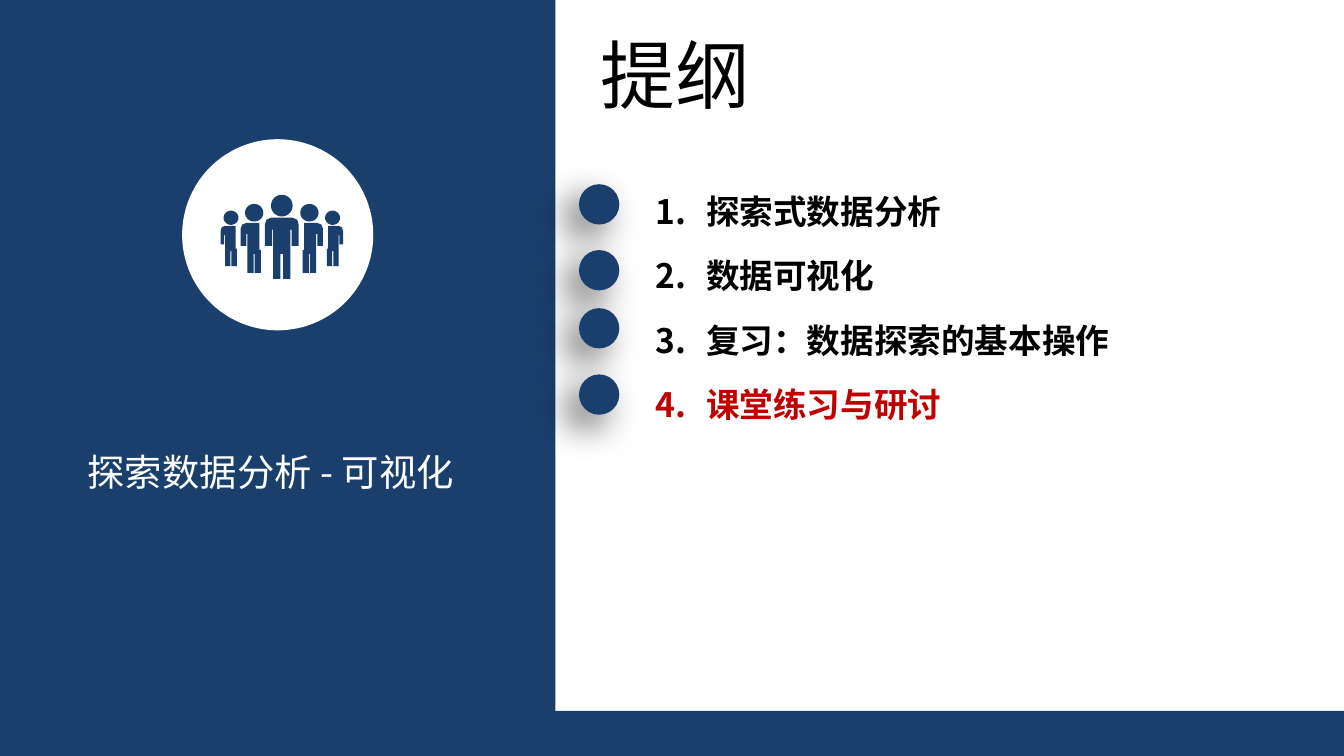
from math import cos, pi, sin

from lxml import etree
from pptx import Presentation
from pptx.dml.color import RGBColor
from pptx.enum.shapes import MSO_SHAPE
from pptx.enum.text import MSO_AUTO_SIZE, PP_ALIGN
from pptx.oxml.ns import qn
from pptx.util import Pt

RECT, OVAL = MSO_SHAPE.RECTANGLE, MSO_SHAPE.OVAL
LEFT, CENTER = PP_ALIGN.LEFT, PP_ALIGN.CENTER
GROW = MSO_AUTO_SIZE.SHAPE_TO_FIT_TEXT
NAVY, WHITE, BLACK, RED = "1A3F6C", "FFFFFF", "000000", "C00000"
FONT = "Noto Sans CJK SC"


def color(code):
    return RGBColor.from_string(code)


def node(parent, tag, **attrs):
    return etree.SubElement(parent, qn(tag), attrs)


def ring(x, y, rx, ry, count=32):
    """Points of an ellipse around (x, y)."""
    turns = [2 * pi * i / count for i in range(count)]
    return [(x + rx * cos(t), y + ry * sin(t)) for t in turns]


def flip(points):
    """Mirror points across the vertical axis, in reverse order."""
    return [(-x, y) for x, y in reversed(points)]


class Deck:
    def __init__(self, width, height):
        self.prs = Presentation()
        self.prs.slide_width, self.prs.slide_height = Pt(width), Pt(height)
        self.slide = self.prs.slides.add_slide(self.prs.slide_layouts[6])

    def paint(self, shape, fill):
        shape.shadow.inherit = False
        shape.fill.solid()
        shape.fill.fore_color.rgb = color(fill)
        shape.line.fill.background()
        return shape

    def shape(self, kind, x, y, w, h, fill):
        box = self.slide.shapes.add_shape(kind, Pt(x), Pt(y), Pt(w), Pt(h))
        return self.paint(box, fill)

    def dot(self, x, y, size):
        """Navy disc with a soft shadow to the lower left."""
        disc = self.shape(OVAL, x, y, size, size, NAVY)
        effects = disc._element.spPr.find(qn("a:effectLst"))
        shade = node(effects, "a:outerShdw", blurRad=str(Pt(20)),
                     dist=str(Pt(10)), dir="8100000", algn="tr", rotWithShape="0")
        tint = node(shade, "a:srgbClr", val=BLACK)
        node(tint, "a:alpha", val="60000")

    def icon(self, x, loops, fill):
        """One freeform of closed loops, with x offsets from an axis."""
        loops = [[(Pt(x + dx), Pt(y)) for dx, y in loop] for loop in loops]
        pen = self.slide.shapes.build_freeform(*loops[0][0])
        for i, loop in enumerate(loops):
            if i:
                pen.move_to(*loop[0])
            pen.add_line_segments(loop[1:], close=True)
        self.paint(pen.convert_to_shape(), fill)

    def text(self, x, y, w, h, lines, size, bold=None, align=LEFT,
             wrap=False, inset=None, space=None, hang=None):
        """Text box; a hanging indent also numbers the lines."""
        box = self.slide.shapes.add_textbox(Pt(x), Pt(y), Pt(w), Pt(h))
        frame = box.text_frame
        frame.word_wrap, frame.auto_size = wrap, GROW
        if inset is not None:
            frame.margin_left = frame.margin_right = Pt(inset)
            frame.margin_top = frame.margin_bottom = Pt(inset)
        for i, (words, tone) in enumerate(lines):
            para = frame.add_paragraph() if i else frame.paragraphs[0]
            para.alignment = align
            if space:
                para.line_spacing = space
            if hang:
                props = para._p.get_or_add_pPr()
                props.set("marL", str(Pt(hang)))
                props.set("indent", str(-Pt(hang)))
                node(props, "a:buFont", typeface="+mj-lt")
                node(props, "a:buAutoNum", type="arabicPeriod")
            run = para.add_run()
            run.text = words
            run.font.size, run.font.bold = Pt(size), bold
            run.font.name = FONT
            run.font.color.rgb = color(tone)
            node(run._r.get_or_add_rPr(), "a:ea", typeface=FONT)


def crowd():
    """Loops of five people: a leader and two mirrored pairs."""
    half = [(0.7, 136.1), (0.7, 149.4), (4.6, 149.4), (4.6, 123.1), (5.2, 123.1),
            (5.2, 131.8), (9, 131.8), (9, 120.2), (8.2, 117.7), (5.6, 116.6)]
    near = [(22, 131.8), (22, 122.4), (21.2, 120.3), (19, 119.5), (12, 119.5),
            (12, 133.9), (11.2, 133.9), (11.2, 146.2), (14.5, 146.2),
            (14.5, 136.1), (15.1, 136.1), (15.1, 146.2), (18.4, 146.2),
            (18.4, 125.3), (19, 125.3), (19, 131.8)]
    far = [(32.8, 131), (32.8, 123.8), (32.2, 121.9), (30.6, 121), (24.8, 121),
           (24.8, 133.2), (24.1, 133.2), (24.1, 142.6), (27, 142.6), (27, 134.6),
           (27.6, 134.6), (27.6, 142.6), (30.4, 142.6), (30.4, 126),
           (30.9, 126), (30.9, 131)]
    loops = [ring(0, 110.2, 5.8, 5.8), half + flip(half)]
    pairs = [near, ring(14.8, 114, 4.9, 4.7), far, ring(27.2, 116.7, 4, 3.8)]
    for loop in pairs:
        loops += [loop, flip(loop)]
    return loops


def main():
    deck = Deck(720, 405)
    deck.shape(RECT, 0, 380.8, 720, 24.2, NAVY)
    deck.shape(RECT, 0, 0, 297.5, 405, NAVY)
    deck.text(314.6, 12.2, 95, 55.4, [("提纲", BLACK)], 40)
    deck.text(38.9, 240.5, 212.4, 24.5, [("探索数据分析 - 可视化", WHITE)], 20,
              align=CENTER, wrap=True, inset=0)
    deck.shape(OVAL, 97.6, 74.6, 102.4, 102.4, WHITE)
    deck.icon(151, crowd(), NAVY)
    topics = [("探索式数据分析", BLACK), ("数据可视化", BLACK),
              ("复习：数据探索的基本操作", BLACK), ("课堂练习与研讨", RED)]
    deck.text(344.2, 85.7, 259.9, 146.9, topics, 18, bold=True, space=1.6, hang=27)
    for top in (98.7, 134, 165.1, 200.6):
        deck.dot(310.2, top, 21.6)
    deck.prs.save("out.pptx")


if __name__ == "__main__":
    main()
